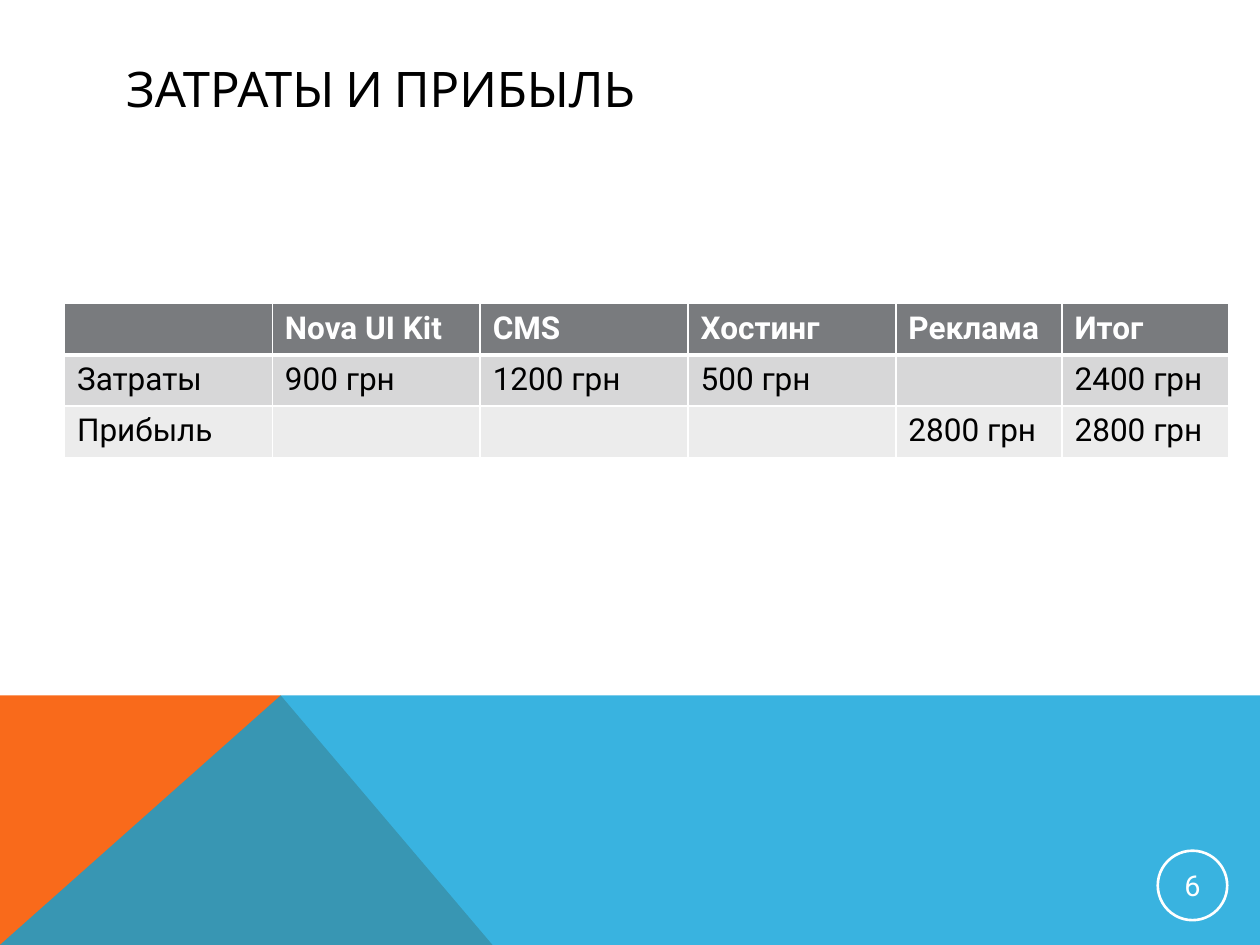
from lxml import etree
from pptx import Presentation
from pptx import util as u
from pptx.dml.color import RGBColor
from pptx.enum import shapes, text
from pptx.oxml.ns import qn

Cm = u.Cm
ROWS = [
    ["", "Nova UI Kit", "CMS", "Хостинг", "Реклама", "Итог"],
    ["Затраты", "900 грн", "1200 грн", "500 грн", "", "2400 грн"],
    ["Прибыль", "", "", "", "2800 грн", "2800 грн"],
]
FILLS = ["797B7E", "D7D7D8", "ECECEC"]
WIDTHS = [4.19] * 4 + [3.35] * 2


def rgb(code):
    return RGBColor.from_string(code)


def paint(item, code):
    item.fill.solid()
    item.fill.fore_color.rgb = rgb(code)


def write(frame, words, size=18, font="Roboto", color="000000",
          bold=False, align=text.PP_ALIGN.LEFT):
    par = frame.paragraphs[0]
    par.alignment = align
    run = par.add_run()
    run.text = words
    run.font.size = u.Pt(size)
    run.font.name = font
    run.font.bold = bold
    run.font.color.rgb = rgb(color)


def area(slide, points, color, alpha=None):
    (x, y), *rest = [(Cm(a), Cm(b)) for a, b in points]
    form = slide.shapes.build_freeform(x, y)
    form.add_line_segments(rest, close=True)
    shape = form.convert_to_shape()
    shape.shadow.inherit = False
    paint(shape, color)
    shape.line.fill.background()
    if alpha:
        tint = shape.fill._xPr.find(qn("a:solidFill"))[0]
        etree.SubElement(tint, qn("a:alpha"), val=str(alpha * 1000))


def band(slide, x, y, w, h):
    """Coloured strip whose two areas meet at a peak."""
    peak, foot = (x + 5.66, y), y + h
    area(slide, [(x, foot), (x, y), peak, (x + 9.93, foot)], "F96A1B")
    area(slide, [(x, foot), peak, (x + w, y), (x + w, foot)], "08A1D9", 80)


def head(slide, x, y, w, h):
    title = slide.shapes.title
    title.left, title.top, title.width, title.height = map(Cm, (x, y, w, h))
    frame = title.text_frame
    frame.vertical_anchor = text.MSO_ANCHOR.MIDDLE
    write(frame, "ЗАТРАТЫ И ПРИБЫЛЬ", size=28, font="Cabin")


def edge(cell, low):
    """White cell borders, with the given width at the bottom."""
    props = cell._tc.get_or_add_tcPr()
    for i, (side, pts) in enumerate(zip("LRTB", (1, 1, 1, low))):
        line = etree.Element(qn("a:ln" + side), w=str(u.Pt(pts)))
        fill = etree.SubElement(line, qn("a:solidFill"))
        etree.SubElement(fill, qn("a:srgbClr"), val="FFFFFF")
        props.insert(i, line)


def grid(slide, x, y, w, h):
    table = slide.shapes.add_table(len(ROWS), len(WIDTHS),
                                   *map(Cm, (x, y, w, h))).table
    for col, width in zip(table.columns, WIDTHS):
        col.width = Cm(width)
    for r, (row, fill) in enumerate(zip(ROWS, FILLS)):
        top = r == 0
        table.rows[r].height = Cm(h / len(ROWS))
        for c, words in enumerate(row):
            cell = table.cell(r, c)
            paint(cell, fill)
            edge(cell, 3 if top else 1)
            if words:
                write(cell.text_frame, words, bold=top,
                      color="FFFFFF" if top else "000000")


def badge(slide, x, y, d):
    """Ringed page number."""
    ring = slide.shapes.add_shape(shapes.MSO_SHAPE.OVAL,
                                  *map(Cm, (x, y, d, d)))
    ring.shadow.inherit = False
    ring.fill.background()
    ring.line.color.rgb = rgb("FFFFFF")
    ring.line.width = u.Pt(1.5)
    frame = ring.text_frame
    frame.margin_left = frame.margin_right = Cm(0.03)
    frame.margin_top = frame.margin_bottom = Cm(0.03)
    frame.vertical_anchor = text.MSO_ANCHOR.MIDDLE
    write(frame, "6", size=16.5, color="FFFFFF", align=text.PP_ALIGN.CENTER)


def main():
    deck = Presentation()
    deck.slide_width, deck.slide_height = Cm(25.4), Cm(19.05)
    slide = deck.slides.add_slide(deck.slide_layouts[5])  # title only
    band(slide, 0, 14.02, 25.4, 5.03)
    head(slide, 2.29, 1.02, 20.88, 1.52)
    grid(slide, 1.3, 6.12, sum(WIDTHS), 3.1)
    badge(slide, 23.34, 17.15, 1.4)
    deck.save("out.pptx")


if __name__ == "__main__":
    main()
